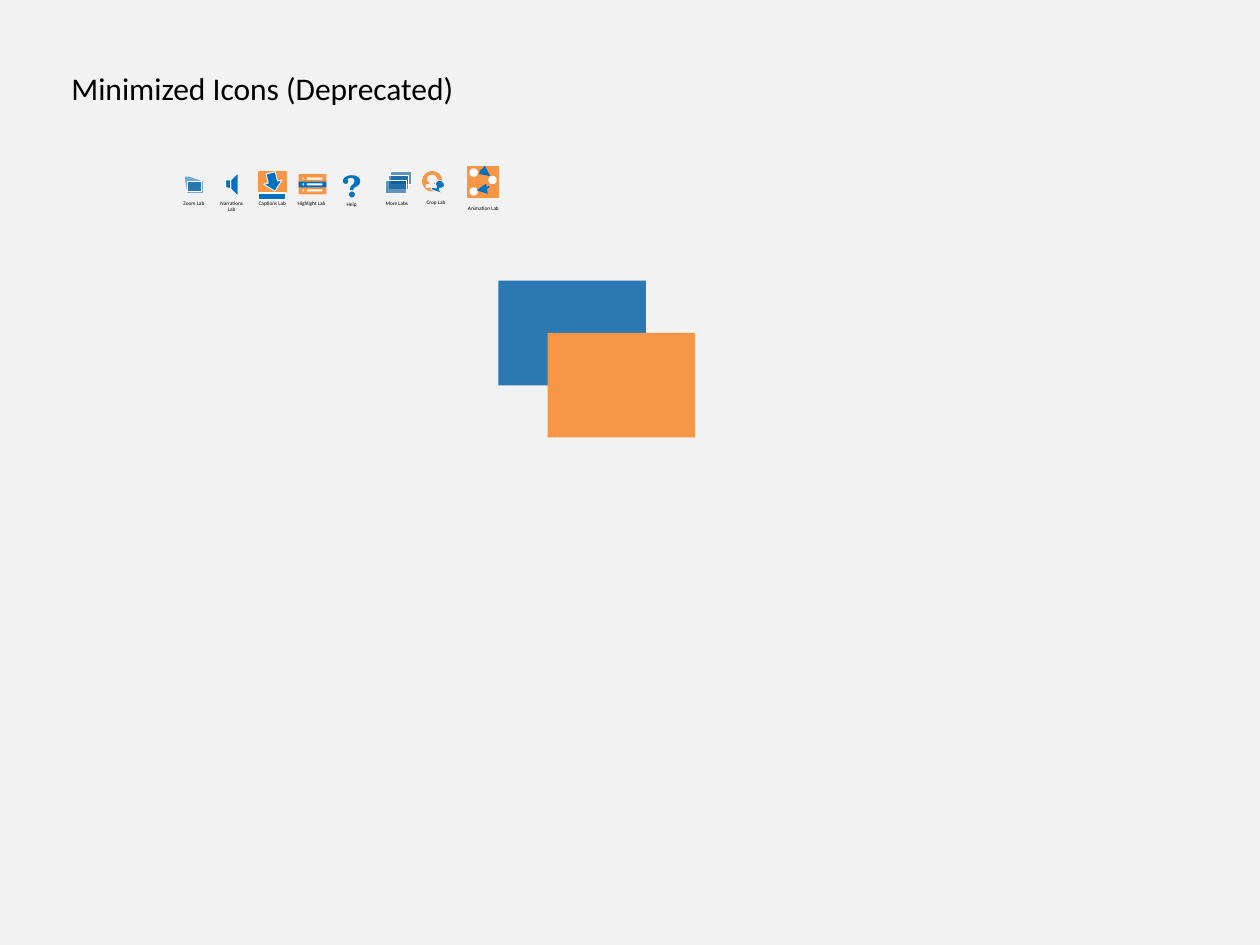
from lxml import etree
from pptx import Presentation
from pptx.dml.color import RGBColor
from pptx.enum.shapes import MSO_SHAPE
from pptx.enum.text import MSO_AUTO_SIZE, PP_ALIGN
from pptx.oxml.ns import qn
from pptx.util import Cm, Pt

RECTANGLE = MSO_SHAPE.RECTANGLE
ROUNDED = MSO_SHAPE.ROUNDED_RECTANGLE
OVAL = MSO_SHAPE.OVAL
RIGHT_ARROW = MSO_SHAPE.RIGHT_ARROW
CONNECTOR_DOT = MSO_SHAPE.FLOWCHART_CONNECTOR
LEFT, CENTER = PP_ALIGN.LEFT, PP_ALIGN.CENTER
FIT_SHAPE = MSO_AUTO_SIZE.SHAPE_TO_FIT_TEXT

BLACK = RGBColor(0x00, 0x00, 0x00)
WHITE = RGBColor(0xFF, 0xFF, 0xFF)
PALE_GREY = RGBColor(0xF2, 0xF2, 0xF2)
BLUE = RGBColor(0x00, 0x70, 0xC0)
DARK_BLUE = RGBColor(0x00, 0x58, 0x9A)
STEEL_BLUE = RGBColor(0x2B, 0x78, 0xB2)
ORANGE = RGBColor(0xF7, 0x96, 0x46)

FOLDER = [(0, 0.05), (0.05, 0.33), (0.36, 0.33), (0.36, 0.1), (0.08, 0), (0, 0)]
SPEAKER_BACK = [(0, 0.15), (0.1, 0.15), (0.1, 0.33), (0, 0.3)]
SPEAKER_CONE = [(0.25, 0), (0.25, 0.48), (0.1, 0.33), (0.1, 0.15)]
PERSON = [(0.13, 0), (0.18, 0.02), (0.2, 0.05), (0.23, 0.1), (0.2, 0.1),
          (0.19, 0.14), (0.15, 0.15), (0.15, 0.18), (0.23, 0.23), (0, 0.25),
          (0, 0.2), (0.08, 0.18), (0.08, 0.15), (0.04, 0.12), (0.03, 0.08), (0.05, 0.02)]
UPPER_CURVE = [(0.25, 0.1), (0.29, 0.08), (0.33, 0.08), (0.39, 0.11), (0.46, 0.2)]
LOWER_CURVE = [(0.43, 0.38), (0.39, 0.44), (0.33, 0.48), (0.27, 0.51), (0.2, 0.51)]


def style(shape, fill, line=None, line_width=0.5, opacity=None, rotation=0):
    shape.shadow.inherit = False
    shape.rotation = rotation
    if fill is None:
        shape.fill.background()
    else:
        shape.fill.solid()
        shape.fill.fore_color.rgb = fill
    if opacity is not None:
        color = shape.fill._xPr.find(qn("a:solidFill"))[0]
        etree.SubElement(color, qn("a:alpha"), val=str(opacity * 1000))
    if line is None:
        shape.line.fill.background()
    else:
        shape.line.color.rgb = line
        shape.line.width = Pt(line_width)
    return shape


def add_preset(shapes, kind, left, top, width, height, fill, **options):
    shape = shapes.add_shape(kind, Cm(left), Cm(top), Cm(width), Cm(height))
    return style(shape, fill, **options)


def add_outline(shapes, left, top, contours, fill, closed=True, **options):
    scaled = [[(Cm(left + x), Cm(top + y)) for x, y in contour] for contour in contours]
    builder = shapes.build_freeform(*scaled[0][0])
    for index, points in enumerate(scaled):
        if index:
            builder.move_to(*points[0])
        builder.add_line_segments(points[1:], close=closed)
    return style(builder.convert_to_shape(), fill, **options)


def add_text(slide, text, left, top, width, height, size, align=LEFT,
             font="Calibri", color=BLACK, bold=False, wrap=True):
    box = slide.shapes.add_textbox(Cm(left), Cm(top), Cm(width), Cm(height))
    frame = box.text_frame
    frame.word_wrap = wrap
    frame.auto_size = FIT_SHAPE
    paragraph = frame.paragraphs[0]
    paragraph.text = text
    paragraph.alignment = align
    paragraph.font.name = font
    paragraph.font.size = Pt(size)
    paragraph.font.bold = bold
    paragraph.font.color.rgb = color


def draw_zoom(slide, left, top):
    shapes = slide.shapes.add_group_shape().shapes
    add_outline(shapes, left, top, [FOLDER], BLUE, opacity=55)
    add_preset(shapes, RECTANGLE, left + 0.05, top + 0.1, 0.29, 0.21,
               DARK_BLUE, line=WHITE, opacity=61)


def draw_narrations(slide, left, top):
    add_outline(slide.shapes, left, top, [SPEAKER_BACK, SPEAKER_CONE], BLUE, line=WHITE)


def draw_captions(slide, left, top):
    shapes = slide.shapes.add_group_shape().shapes
    add_preset(shapes, RECTANGLE, left + 0.03, top, 0.51, 0.51,
               ORANGE, line=ORANGE, line_width=2)
    add_preset(shapes, RIGHT_ARROW, left + 0.1, top, 0.38, 0.38,
               BLUE, line=WHITE, rotation=77.2)
    add_preset(shapes, RECTANGLE, left, top + 0.41, 0.56, 0.13,
               BLUE, line=WHITE, line_width=0.75)


def draw_highlight(slide, left, top):
    shapes = slide.shapes.add_group_shape().shapes
    add_preset(shapes, RECTANGLE, left, top, 0.56, 0.41, ORANGE)
    add_preset(shapes, RECTANGLE, left, top + 0.15, 0.56, 0.12, BLUE)
    for row in range(3):
        row_top = top + 0.07 + row * 0.12
        add_preset(shapes, ROUNDED, left + 0.08, row_top, 0.03, 0.04, WHITE)
        add_preset(shapes, ROUNDED, left + 0.17, row_top, 0.31, 0.04, WHITE)


def draw_help(slide, left, top):
    add_text(slide, "?", left, top, 0.91, 1.02, 18, font="TeX Gyre Bonum",
             color=BLUE, bold=True, wrap=False)


def draw_more(slide, left, top):
    shapes = slide.shapes.add_group_shape().shapes
    for layer in range(3):
        add_preset(shapes, RECTANGLE, left + 0.05 * (2 - layer), top + 0.09 * layer,
                   0.41, 0.28, DARK_BLUE, line=WHITE, opacity=61)


def draw_crop(slide, left, top):
    shapes = slide.shapes.add_group_shape().shapes
    add_preset(shapes, OVAL, left, top, 0.41, 0.41, ORANGE)
    add_outline(shapes, left + 0.08, top + 0.08, [PERSON], PALE_GREY, line=PALE_GREY)
    add_outline(shapes, left + 0.22, top + 0.18, [PERSON], BLUE, line=PALE_GREY, rotation=25)


def draw_animation(slide, left, top):
    shapes = slide.shapes.add_group_shape().shapes
    add_preset(shapes, RECTANGLE, left, top, 0.64, 0.64, ORANGE)
    for x, y in ((0.08, 0.08), (0.46, 0.23), (0.08, 0.46)):
        add_preset(shapes, CONNECTOR_DOT, left + x, top + y, 0.1, 0.1,
                   WHITE, line=WHITE, line_width=2)
    for curve, rotation in ((UPPER_CURVE, 0), (LOWER_CURVE, 11.4)):
        arrow = add_outline(shapes, left, top, [curve], None, closed=False,
                            line=BLUE, line_width=0.75, rotation=rotation)
        etree.SubElement(arrow.line._get_or_add_ln(), qn("a:tailEnd"), type="triangle")


ICONS = [
    (draw_zoom, 0.28, 0.33, "Zoom Lab", 0, 0.68, 1.04, LEFT),
    (draw_narrations, 1.1, 0.25, "Narrations Lab", 0.66, 0.68, 1.12, CENTER),
    (draw_captions, 1.76, 0.25, "Captions Lab", 1.48, 0.68, 1.12, CENTER),
    (draw_highlight, 2.57, 0.28, "Highlight Lab", 2.27, 0.68, 1.12, CENTER),
    (draw_help, 3.18, 0, "Help", 3.08, 0.7, 1.12, CENTER),
    (draw_more, 4.33, 0.22, "More Labs", 3.99, 0.68, 1.12, CENTER),
    (draw_crop, 5.06, 0.22, "Crop Lab", 4.78, 0.66, 1.12, CENTER),
    (draw_animation, 5.97, 0.12, "Animation Lab", 5.62, 0.78, 1.35, CENTER),
]


def add_icon_row(slide, left, top):
    for draw, icon_x, icon_y, label, label_x, label_y, width, align in ICONS:
        draw(slide, left + icon_x, top + icon_y)
        add_text(slide, label, left + label_x, top + label_y, width, 0.38, 3, align)


def add_overlapping_cards(slide, left, top):
    for index, color in enumerate((STEEL_BLUE, ORANGE)):
        add_preset(slide.shapes, RECTANGLE, left + index * 0.99, top + index * 1.05,
                   2.97, 2.11, color)


def main():
    presentation = Presentation()
    presentation.slide_width = Cm(25.4)
    presentation.slide_height = Cm(19.05)
    slide = presentation.slides.add_slide(presentation.slide_layouts[6])
    slide.background.fill.solid()
    slide.background.fill.fore_color.rgb = PALE_GREY
    add_text(slide, "Minimized Icons (Deprecated)", 1.19, 1.27, 9.73, 1.02, 18)
    add_icon_row(slide, 3.45, 3.23)
    add_overlapping_cards(slide, 10.05, 5.66)
    presentation.save("out.pptx")


if __name__ == "__main__":
    main()
